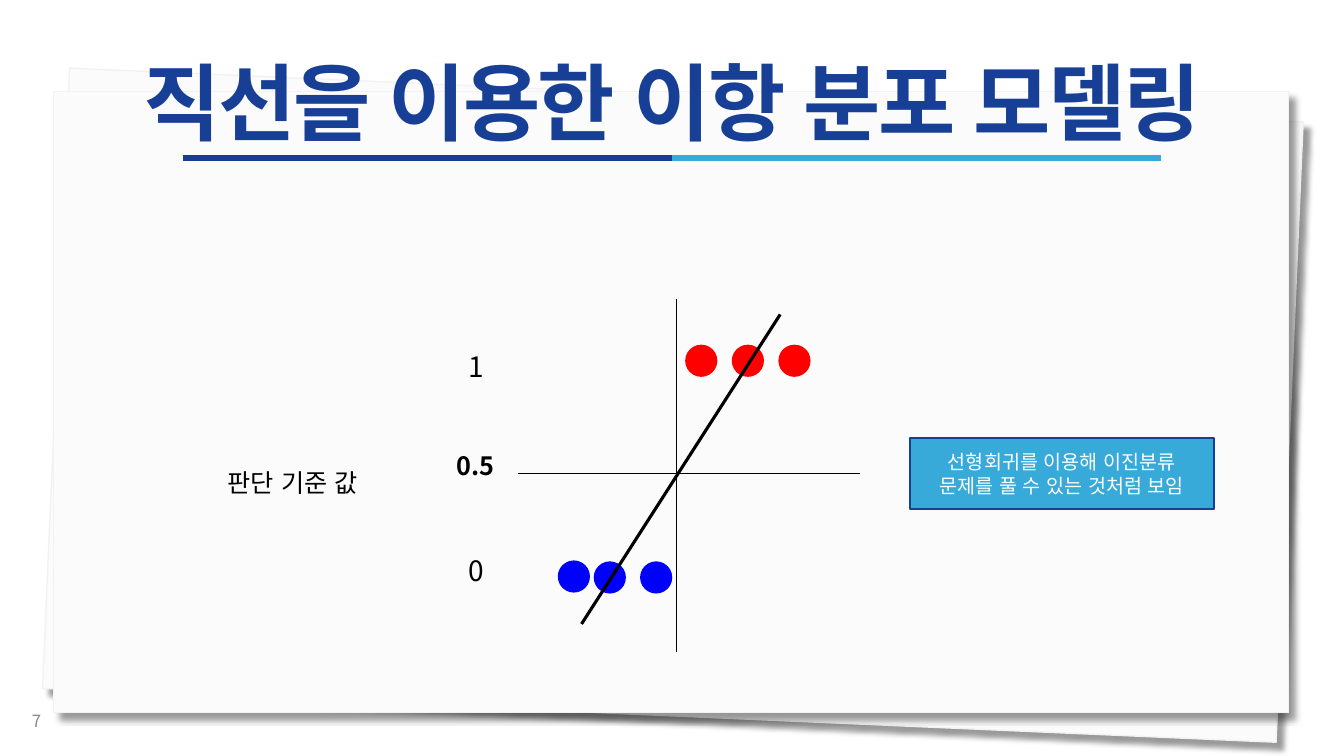
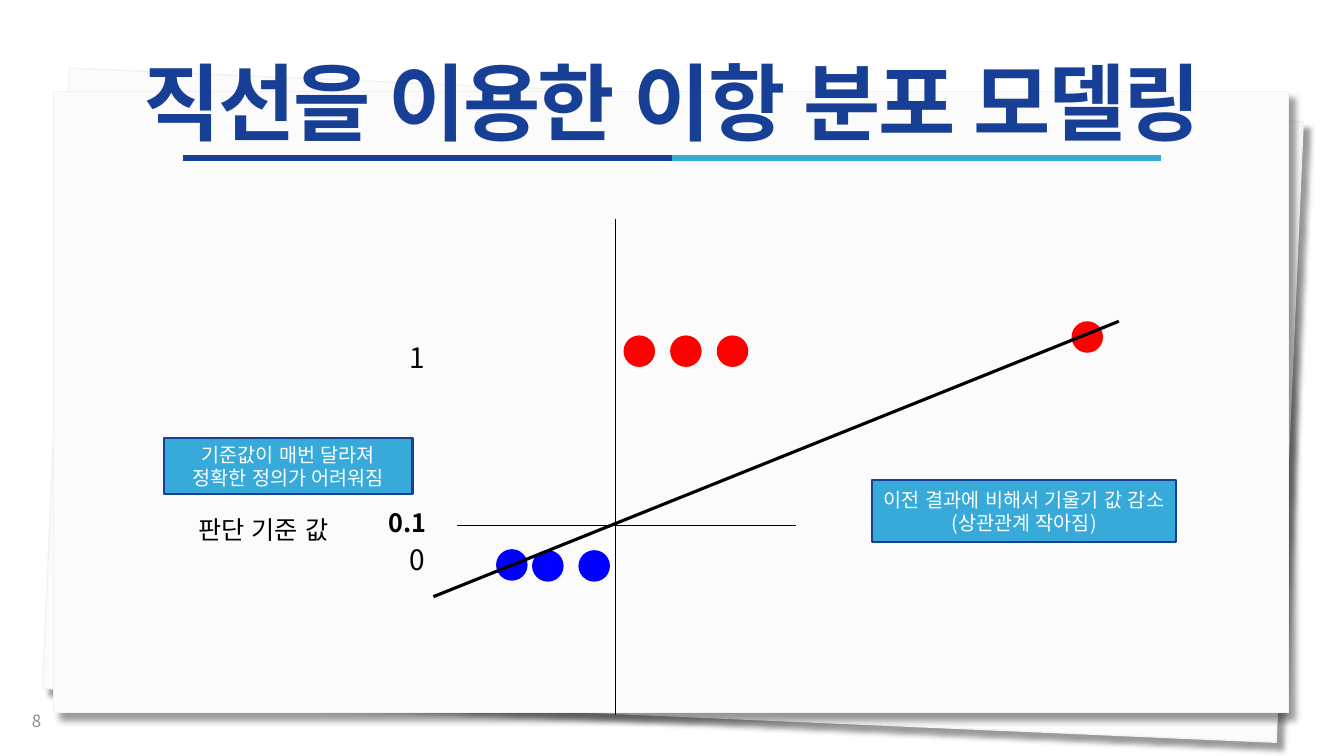
import pptx
import pptx.util
import pptx.dml.color
import pptx.enum.lang
import pptx.enum.shapes
import pptx.enum.text
import pptx.oxml
import pptx.oxml.ns
import lxml.etree

Pt = pptx.util.Pt
qn = pptx.oxml.ns.qn
rgb = pptx.dml.color.RGBColor.from_string
PRESET = pptx.enum.shapes.MSO_SHAPE
ANCHOR = pptx.enum.text.MSO_ANCHOR
ALIGN = pptx.enum.text.PP_ALIGN

# Shared style
FONT = "Noto Sans CJK KR"
KOREAN = pptx.enum.lang.MSO_LANGUAGE_ID.KOREAN
NAVY, SKY = "173F95", "37AADA"
BLACK, WHITE, GREY = "000000", "FFFFFF", "8C8C8C"
PAPER, PAPER_EDGE = "FBFBFB", "F2F2F2"
RED, BLUE = "FF0000", "0000FF"
TITLE = "직선을 이용한 이항 분포 모델링"
A_NS = "http://schemas.openxmlformats.org/drawingml/2006/main"
SHADOW = (
    f'<a:outerShdw xmlns:a="{A_NS}" blurRad="{Pt(4)}" dist="{Pt(7)}" dir="2700000" '
    'algn="tl" rotWithShape="0"><a:srgbClr val="000000"><a:alpha val="40000"/>'
    "</a:srgbClr></a:outerShdw>"
)
TITLE_OUTLINE = (
    f'<a:ln xmlns:a="{A_NS}" w="{Pt(2)}"><a:solidFill>'
    f'<a:srgbClr val="{WHITE}"/></a:solidFill></a:ln>'
)

# Dot offsets from the vertical axis, and from their row
RED_OFFSETS = [(6, 0), (39.3, 0), (72.6, 0)]
BLUE_OFFSETS = [(-85, -0.7), (-59.3, 0), (-26.2, 0)]

# What differs between the slides: lengths in points, lines as x1, y1, x2, y2
slides = [
    {
        "page": "7", "dot_size": 23, "axis_x": 483.4, "red_y": 246.2, "blue_y": 401,
        "value_x": 327.6,
        "outliers": [],
        "trend": (415.4, 445.7, 557.3, 224.6),
        "axes": [(370, 338, 614.2, 338), (483.4, 213.8, 483.4, 465.8)],
        "threshold": ("0.5", 319, 318.2),
        "caption": (155.5, 330.5),
        "callouts": [
            ((649.8, 313, 217.5, 50.6),
             ["선형회귀를 이용해 이진분류 문제를 풀 수 있는 것처럼 보임"]),
        ],
    },
    {
        "page": "8", "dot_size": 22.5, "axis_x": 439.4, "red_y": 239.6, "blue_y": 393,
        "value_x": 285.1,
        "outliers": [(765.4, 229.5)],
        "trend": (309.6, 426.2, 799.2, 229.5),
        "axes": [(326.7, 375.6, 568.8, 375.6), (439.4, 156.2, 439.4, 510.5)],
        "threshold": ("0.1", 270.7, 358.6),
        "caption": (134.6, 363.6),
        "callouts": [
            ((622.8, 342.7, 217.5, 44.6),
             ["이전 결과에 비해서 기울기 값 감소", "(상관관계 작아짐)"]),
            ((117.2, 313, 177.5, 39.6),
             ["기준값이 매번 달라져", "정확한 정의가 어려워짐"]),
        ],
    },
]


def add_shape(slide, preset, bounds, fill, edge=None, edge_width=1):
    shape = slide.shapes.add_shape(preset, *map(Pt, bounds))
    shape.shadow.inherit = False
    shape.fill.solid()
    shape.fill.fore_color.rgb = rgb(fill)
    if edge:
        shape.line.color.rgb = rgb(edge)
        shape.line.width = Pt(edge_width)
    else:
        shape.line.fill.background()
    return shape


def write(shape, lines, size, color, bold=False, align=ALIGN.LEFT, anchor=ANCHOR.TOP):
    frame = shape.text_frame
    frame.word_wrap = True
    frame.vertical_anchor = anchor
    for index, line in enumerate(lines):
        paragraph = frame.add_paragraph() if index else frame.paragraphs[0]
        paragraph.alignment = align
        run = paragraph.add_run()
        run.text = line
        run.font.name = FONT
        run.font.size = Pt(size)
        run.font.bold = bold
        run.font.color.rgb = rgb(color)
        run.font.language_id = KOREAN
        run_style = run.font._element
        run_style.set("kern", "0")
        lxml.etree.SubElement(run_style, qn("a:ea")).set("typeface", FONT)
    return frame.paragraphs[0]


prs = pptx.Presentation()
prs.slide_width, prs.slide_height = Pt(960), Pt(540)

for content in slides:
    slide = prs.slides.add_slide(prs.slide_layouts[6])

    # Stacked paper sheets
    for left, top, tilt in [(39.6, 67.7, 2.5), (38.2, 65.5, 0)]:
        sheet = add_shape(slide, PRESET.RECTANGLE, (left, top, 882, 443.5), PAPER, PAPER_EDGE)
        sheet.rotation = tilt
        effects = sheet._element.spPr.find(qn("a:effectLst"))
        effects.append(pptx.oxml.parse_xml(SHADOW))

    # Title and page number
    title_box = slide.shapes.add_textbox(Pt(0), Pt(44.6), Pt(960), Pt(64.8))
    title = write(title_box, [TITLE], 60, NAVY, True, ALIGN.CENTER, ANCHOR.MIDDLE)
    title.line_spacing = 0.9
    title_style = title.runs[0].font._element
    title_style.set("spc", "-190")
    title_style.insert(0, pptx.oxml.parse_xml(TITLE_OUTLINE))
    page_box = slide.shapes.add_textbox(Pt(15.8), Pt(500.4), Pt(216), Pt(28.8))
    write(page_box, [content["page"]], 12, GREY, anchor=ANCHOR.MIDDLE)

    # Data points
    axis_x = content["axis_x"]
    points = [(axis_x + dx, content["red_y"] + dy, RED) for dx, dy in RED_OFFSETS]
    points += [(axis_x + dx, content["blue_y"] + dy, BLUE) for dx, dy in BLUE_OFFSETS]
    points += [(x, y, RED) for x, y in content["outliers"]]
    for x, y, color in points:
        add_shape(slide, PRESET.OVAL, (x, y, content["dot_size"], content["dot_size"]), color)

    # Title rule, fitted line and axes
    strokes = [
        ((130.6, 112.7, 480, 112.7), "163E94", 4.5),
        ((480, 112.7, 829.4, 112.7), "36AAD9", 4.5),
        (content["trend"], BLACK, 2.25),
    ]
    strokes += [(axis, BLACK, 0.75) for axis in content["axes"]]
    for ends, color, width in strokes:
        stroke = slide.shapes.add_connector(
            pptx.enum.shapes.MSO_CONNECTOR.STRAIGHT, *map(Pt, ends))
        stroke.line.color.rgb = rgb(color)
        stroke.line.width = Pt(width)
        lxml.etree.SubElement(stroke._element.spPr, qn("a:effectLst"))

    # Value labels and caption
    threshold, threshold_x, threshold_y = content["threshold"]
    labels = [
        ("1", content["value_x"], content["red_y"], 34.5, 20, False),
        ("0", content["value_x"], content["blue_y"] - 9.3, 34.5, 20, False),
        (threshold, threshold_x, threshold_y, 56.5, 18, True),
        ("판단 기준 값", *content["caption"], 130, 18, False),
    ]
    for text, x, y, width, size, bold in labels:
        label = slide.shapes.add_textbox(Pt(x), Pt(y), Pt(width), Pt(31))
        write(label, [text], size, BLACK, bold)

    # Callouts
    for bounds, lines in content["callouts"]:
        callout = add_shape(slide, PRESET.RECTANGLE, bounds, SKY, NAVY, 1.5)
        callout.text_frame.margin_left = callout.text_frame.margin_right = Pt(7.5)
        write(callout, lines, 14, WHITE, align=ALIGN.CENTER, anchor=ANCHOR.MIDDLE)

prs.save("out.pptx")
